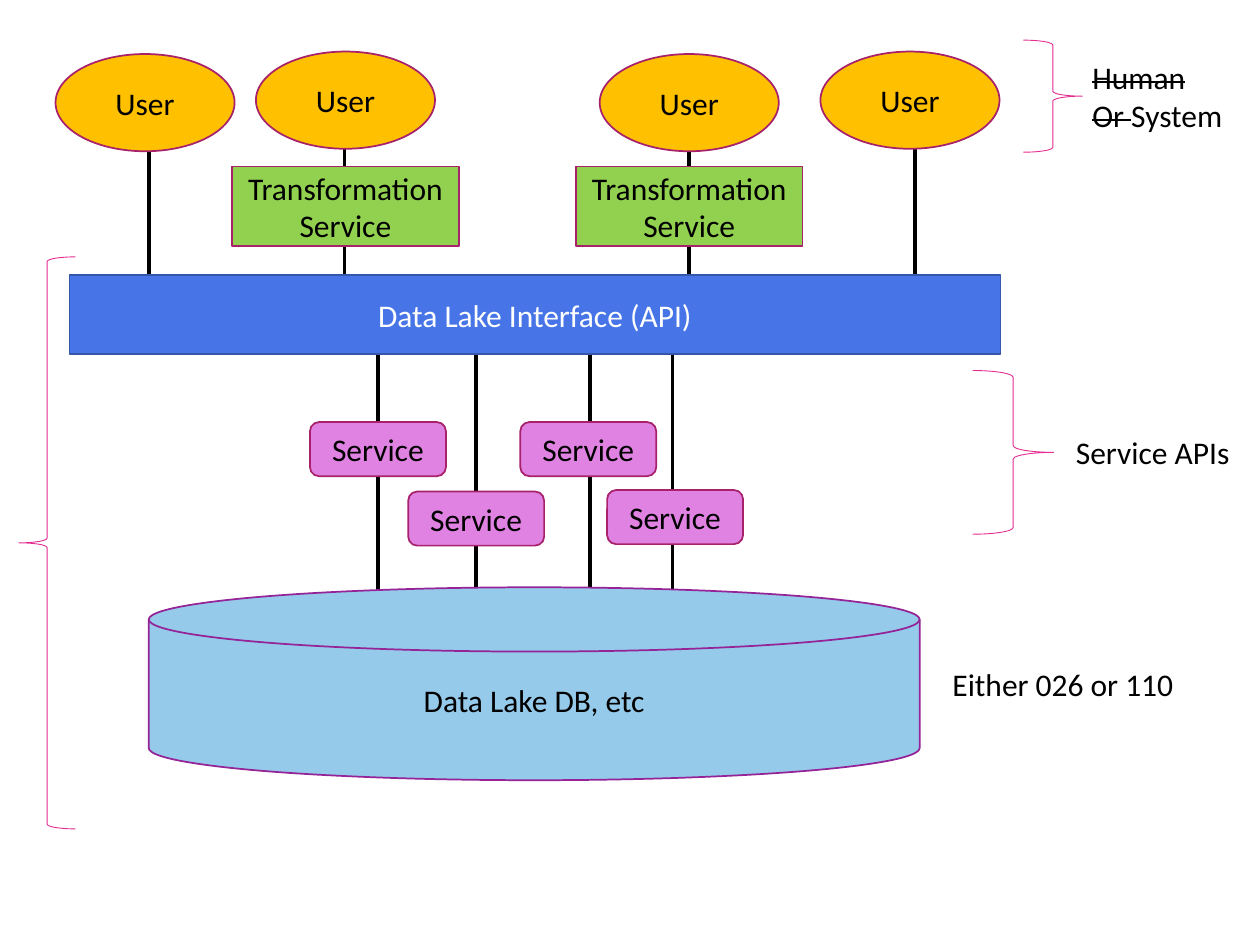
from lxml import etree
from pptx import Presentation
from pptx.dml.color import RGBColor
from pptx.enum.shapes import MSO_CONNECTOR, MSO_SHAPE
from pptx.enum.text import MSO_ANCHOR, MSO_AUTO_SIZE, PP_ALIGN
from pptx.oxml.ns import qn
from pptx.util import Cm, Pt

BLACK = RGBColor(0x00, 0x00, 0x00)
WHITE = RGBColor(0xFF, 0xFF, 0xFF)
ORANGE = RGBColor(0xFF, 0xC0, 0x00)
GREEN = RGBColor(0x92, 0xD0, 0x50)
BLUE = RGBColor(0x47, 0x75, 0xE7)
DARK_BLUE = RGBColor(0x35, 0x57, 0xAB)
SKY = RGBColor(0x95, 0xCA, 0xEA)
PURPLE = RGBColor(0x94, 0x24, 0x97)
ORCHID = RGBColor(0xDF, 0x82, 0xE2)
BERRY = RGBColor(0xA8, 0x21, 0x6B)
PINK = RGBColor(0xE3, 0x2D, 0x91)

STRAIGHT = MSO_CONNECTOR.STRAIGHT
ELLIPSE = MSO_SHAPE.OVAL
RECTANGLE = MSO_SHAPE.RECTANGLE
ROUNDED = MSO_SHAPE.ROUNDED_RECTANGLE
DISK = MSO_SHAPE.FLOWCHART_MAGNETIC_DISK
LEFT_BRACE = MSO_SHAPE.LEFT_BRACE
RIGHT_BRACE = MSO_SHAPE.RIGHT_BRACE
LEFT, CENTER = PP_ALIGN.LEFT, PP_ALIGN.CENTER
MIDDLE, TOP = MSO_ANCHOR.MIDDLE, MSO_ANCHOR.TOP
GROW = MSO_AUTO_SIZE.SHAPE_TO_FIT_TEXT


def write_text(frame, lines, color=BLACK, align=CENTER, anchor=MIDDLE, struck=()):
    frame.vertical_anchor = anchor
    for number, pieces in enumerate(lines):
        paragraph = frame.add_paragraph() if number else frame.paragraphs[0]
        paragraph.alignment = align
        for piece in pieces:
            run = paragraph.add_run()
            run.text = piece
            run.font.name = "Calibri"
            run.font.size = Pt(18)
            run.font.color.rgb = color
            if piece in struck:
                run.font._element.set("strike", "sngStrike")


def add_block(slide, kind, box, fill, outline, lines, color=BLACK):
    block = slide.shapes.add_shape(kind, *map(Cm, box))
    block.shadow.inherit = False
    block.fill.solid()
    block.fill.fore_color.rgb = fill
    block.line.color.rgb = outline
    block.line.width = Pt(1)
    block.text_frame.word_wrap = True
    write_text(block.text_frame, lines, color=color)


def add_brace(slide, kind, box):
    brace = slide.shapes.add_shape(kind, *map(Cm, box))
    brace.shadow.inherit = False
    brace.fill.background()
    brace.line.color.rgb = PINK
    brace.line.width = Pt(0.5)


def add_label(slide, box, lines, struck=()):
    frame = slide.shapes.add_textbox(*map(Cm, box)).text_frame
    frame.word_wrap = False
    frame.auto_size = GROW
    write_text(frame, lines, align=LEFT, anchor=TOP, struck=struck)


def add_link(slide, x, top, bottom):
    link = slide.shapes.add_connector(STRAIGHT, Cm(x), Cm(top), Cm(x), Cm(bottom))
    link.line.color.rgb = BLACK
    link.line.width = Pt(2)
    etree.SubElement(link._element.spPr, qn("a:effectLst"))


def add_services(slide, box):
    left, top, width, height = box
    card_width, card_height = 2.74, 1.09
    for link_x, card_x, card_y in (
        (1.37, 0, 1.37),
        (3.35, 1.98, 2.77),
        (5.64, 4.24, 1.37),
        (7.31, 5.99, 2.74),
    ):
        add_link(slide, left + link_x, top, top + height)
        card = (left + card_x, top + card_y, card_width, card_height)
        add_block(slide, ROUNDED, card, ORCHID, BERRY, [["Service"]])


def add_users(slide, box):
    left, top, width, height = box
    user_width, user_height = 3.61, 1.96
    service_width, service_height = 4.57, 1.6
    for user_x, user_y, link_x, transformed in (
        (0, 0.05, 1.88, False),
        (4.04, 0, 5.82, True),
        (10.97, 0.05, 12.77, True),
        (15.42, 0, 17.32, False),
    ):
        add_link(slide, left + link_x, top + user_height, top + height)
        user = (left + user_x, top + user_y, user_width, user_height)
        add_block(slide, ELLIPSE, user, ORANGE, BERRY, [["User"]])
        if transformed:
            service_x = left + user_x + (user_width - service_width) / 2
            service = (service_x, top + 2.32, service_width, service_height)
            add_block(slide, RECTANGLE, service, GREEN, BERRY,
                      [["Transformation"], ["Service"]])


def add_notes(slide, box):
    left, top, width, height = box
    add_brace(slide, RIGHT_BRACE, (left + 1.02, top, 1.19, 2.26))
    add_label(slide, (left + 2.16, top + 0.23, 3.15, 1.8),
              [["Human"], ["Or ", "System"]], struck=("Human", "Or "))
    add_brace(slide, RIGHT_BRACE, (left, top + 6.66, 1.63, 3.3))
    add_label(slide, (left + 1.83, top + 7.8, 3.63, 1.02), [["Service APIs"]])
    add_label(slide, (left - 0.66, top + 12.47, 5.03, 1.02), [["Either 026 or 110"]])


def main():
    deck = Presentation()
    deck.slide_width, deck.slide_height = Cm(25.4), Cm(19.05)
    slide = deck.slides.add_slide(deck.slide_layouts[6])
    add_services(slide, (6.25, 7.14, 8.73, 5.23))
    add_block(slide, DISK, (3, 11.84, 15.54, 3.89), SKY, PURPLE, [["Data Lake DB, etc"]])
    add_block(slide, RECTANGLE, (1.4, 5.54, 18.77, 1.6), BLUE, DARK_BLUE,
              [["Data Lake Interface (API)"]], color=WHITE)
    add_users(slide, (1.12, 1.04, 19.03, 4.48))
    add_notes(slide, (19.61, 0.81, 5.46, 13.49))
    add_brace(slide, LEFT_BRACE, (0.38, 5.18, 1.14, 11.53))
    deck.save("out.pptx")


if __name__ == "__main__":
    main()
